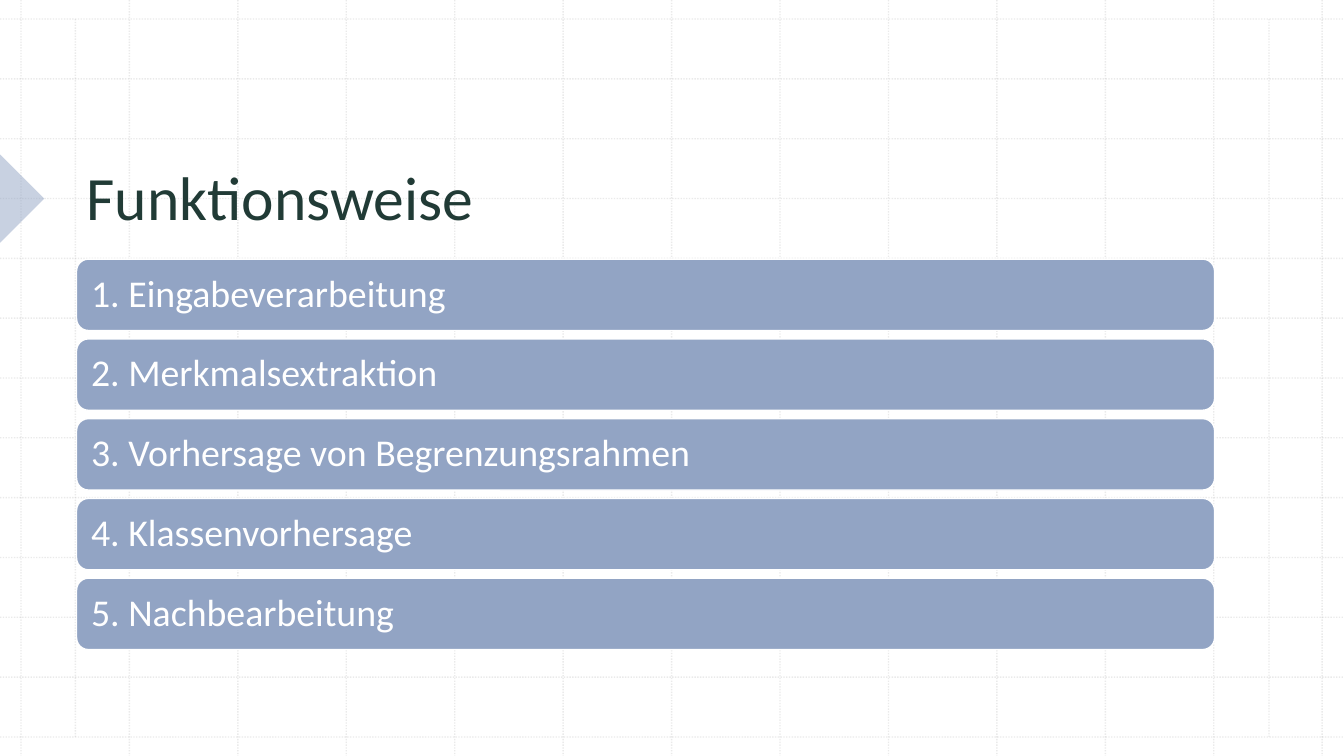
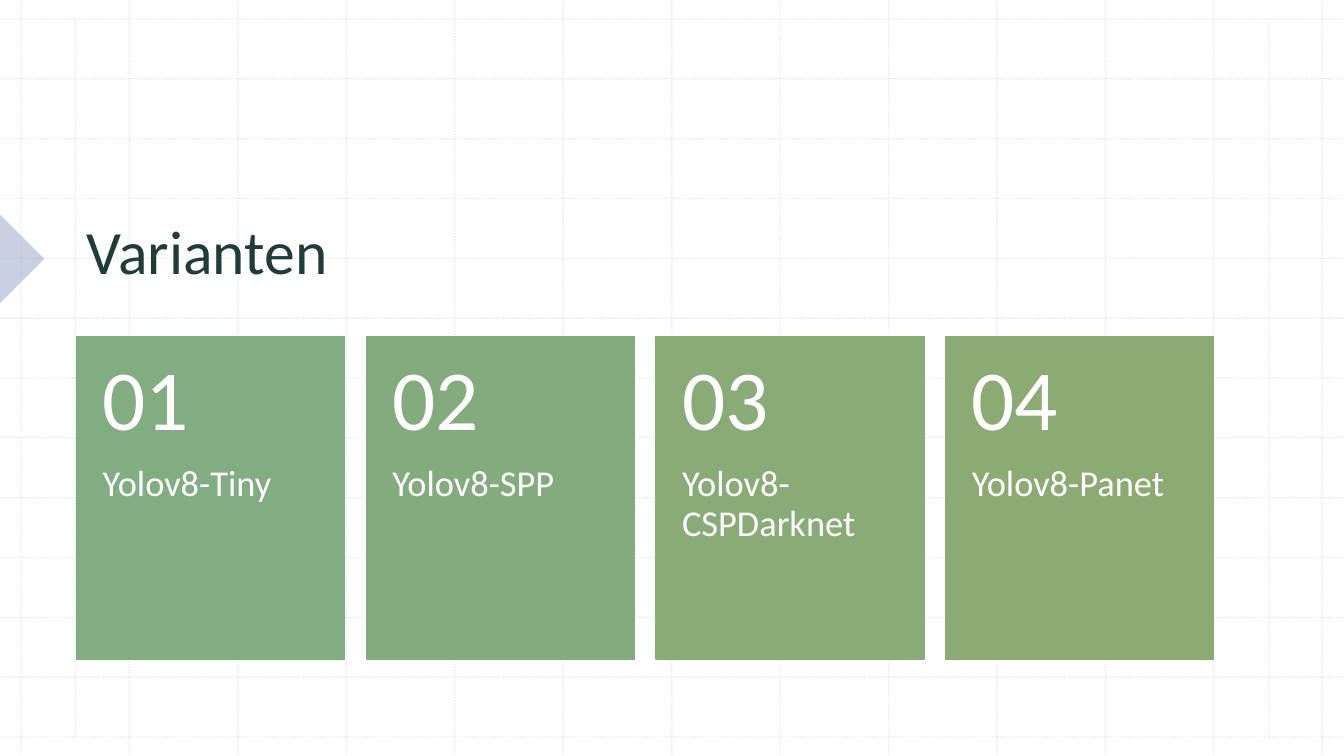
"""Build two slides on how an object detector works and which variants it has."""
from lxml import etree
from pptx import Presentation
from pptx.dml.color import RGBColor
from pptx.enum.dml import MSO_LINE
from pptx.enum.shapes import MSO_CONNECTOR, MSO_SHAPE
from pptx.enum.text import MSO_ANCHOR, MSO_AUTO_SIZE, PP_ALIGN
from pptx.oxml.ns import qn
from pptx.util import Cm, Pt

STRAIGHT = MSO_CONNECTOR.STRAIGHT
RECTANGLE = MSO_SHAPE.RECTANGLE
ROUNDED = MSO_SHAPE.ROUNDED_RECTANGLE
TRIANGLE = MSO_SHAPE.RIGHT_TRIANGLE
LEFT = PP_ALIGN.LEFT
TOP, MIDDLE, BOTTOM = MSO_ANCHOR.TOP, MSO_ANCHOR.MIDDLE, MSO_ANCHOR.BOTTOM

COLORS = {
    "title": "213B36",
    "grid": "BCBCBC",
    "accent": "92A4C4",
    "white": "FFFFFF",
    "card 1": "82AC81",
    "card 2": "84AB7D",
    "card 3": "88AB78",
    "card 4": "8CAA74",
}
FONT = "Calibri"
WIDTH, HEIGHT = 33.87, 19.05
CONTENT_LEFT, CONTENT_WIDTH = 1.93, 28.68
GRID_STEPS = 12
GRID_LEFT, GRID_RIGHT = 0.53, 33.32
GRID_TOP, GRID_BOTTOM = 0.48, 18.57
MARGIN_LINES = (1.9, 31.98)


def set_opacity(shape, percent):
    for color in shape.element.spPr.iter(qn("a:srgbClr")):
        etree.SubElement(color, qn("a:alpha"), val=str(percent * 1000))


def format_paragraph(paragraph, text, size, color):
    paragraph.text = text
    paragraph.alignment = LEFT
    paragraph.line_spacing = 0.9
    paragraph.font.name = FONT
    paragraph.font.size = Pt(size)
    paragraph.font.color.rgb = RGBColor.from_string(COLORS[color])


presentation = Presentation()
presentation.slide_width = Cm(WIDTH)
presentation.slide_height = Cm(HEIGHT)
layout = presentation.slide_layouts[5]
for placeholder in list(layout.placeholders)[1:]:
    layout.shapes.element.remove(placeholder.element)

slides = []
for title_text, title_height, arrow_top in (
    ("Funktionsweise", 4.01, 4.22),
    ("Varianten", 5.36, 5.74),
):
    slide = presentation.slides.add_slide(layout)
    slides.append(slide)

    title = slide.shapes.title
    title.left, title.top = Cm(CONTENT_LEFT), Cm(2.01)
    title.width, title.height = Cm(CONTENT_WIDTH), Cm(title_height)
    title.text_frame.auto_size = MSO_AUTO_SIZE.NONE
    title.text_frame.vertical_anchor = BOTTOM
    format_paragraph(title.text_frame.paragraphs[0], title_text, 44, "title")

    arrow = slide.shapes.add_shape(TRIANGLE, Cm(-0.78), Cm(arrow_top), Cm(1.57), Cm(1.57))
    arrow.rotation = 225
    arrow.shadow.inherit = False
    arrow.fill.solid()
    arrow.fill.fore_color.rgb = RGBColor.from_string(COLORS["accent"])
    arrow.line.fill.background()
    set_opacity(arrow, 50)

process_slide, variants_slide = slides

grid_lines = [(x, GRID_TOP, x, GRID_BOTTOM) for x in MARGIN_LINES]
for step in range(GRID_STEPS + 1):
    x = GRID_LEFT + step * (GRID_RIGHT - GRID_LEFT) / GRID_STEPS
    y = GRID_TOP + step * (GRID_BOTTOM - GRID_TOP) / GRID_STEPS
    grid_lines += [(x, 0, x, HEIGHT), (0, y, WIDTH, y)]

connectors = []
for ends in grid_lines:
    connector = process_slide.shapes.add_connector(STRAIGHT, *(Cm(end) for end in ends))
    connector.line.color.rgb = RGBColor.from_string(COLORS["grid"])
    connector.line.width = Pt(1)
    connector.line.dash_style = MSO_LINE.ROUND_DOT
    set_opacity(connector, 30)
    etree.SubElement(connector.element.spPr, qn("a:effectLst"))
    connectors.append(connector)
for connector in connectors:
    layout.shapes.element.insert(2, connector.element)

steps = (
    "1. Eingabeverarbeitung",
    "2. Merkmalsextraktion",
    "3. Vorhersage von Begrenzungsrahmen",
    "4. Klassenvorhersage",
    "5. Nachbearbeitung",
)
BAR_TOP, BAR_HEIGHT, BAR_GAP = 6.53, 1.8, 0.21
for index, step_text in enumerate(steps):
    bar = process_slide.shapes.add_shape(
        ROUNDED,
        Cm(CONTENT_LEFT),
        Cm(BAR_TOP + index * (BAR_HEIGHT + BAR_GAP)),
        Cm(CONTENT_WIDTH),
        Cm(BAR_HEIGHT),
    )
    bar.shadow.inherit = False
    bar.fill.solid()
    bar.fill.fore_color.rgb = RGBColor.from_string(COLORS["accent"])
    bar.line.color.rgb = RGBColor.from_string(COLORS["white"])
    bar.line.width = Pt(1)
    frame = bar.text_frame
    frame.margin_left = frame.margin_right = Cm(0.28)
    frame.vertical_anchor = MIDDLE
    format_paragraph(frame.paragraphs[0], step_text, 27, "white")

variants = ("Yolov8-Tiny", "Yolov8-SPP", "Yolov8-CSPDarknet", "Yolov8-Panet")
CARD_TOP, CARD_WIDTH, CARD_HEIGHT, CARD_GAP = 8.48, 6.76, 8.13, 0.54
for index, variant in enumerate(variants):
    card = variants_slide.shapes.add_shape(
        RECTANGLE,
        Cm(CONTENT_LEFT + index * (CARD_WIDTH + CARD_GAP)),
        Cm(CARD_TOP),
        Cm(CARD_WIDTH),
        Cm(CARD_HEIGHT),
    )
    card_color = RGBColor.from_string(COLORS[f"card {index + 1}"])
    card.shadow.inherit = False
    card.fill.solid()
    card.fill.fore_color.rgb = card_color
    card.line.color.rgb = card_color
    card.line.width = Pt(1)
    frame = card.text_frame
    frame.margin_left = frame.margin_right = Cm(0.66)
    frame.margin_top = Cm(0.5)
    frame.vertical_anchor = TOP
    number = frame.paragraphs[0]
    format_paragraph(number, f"{index + 1:02d}", 61, "white")
    number.space_after = Pt(12)
    format_paragraph(frame.add_paragraph(), variant, 26, "white")

presentation.save("out.pptx")
